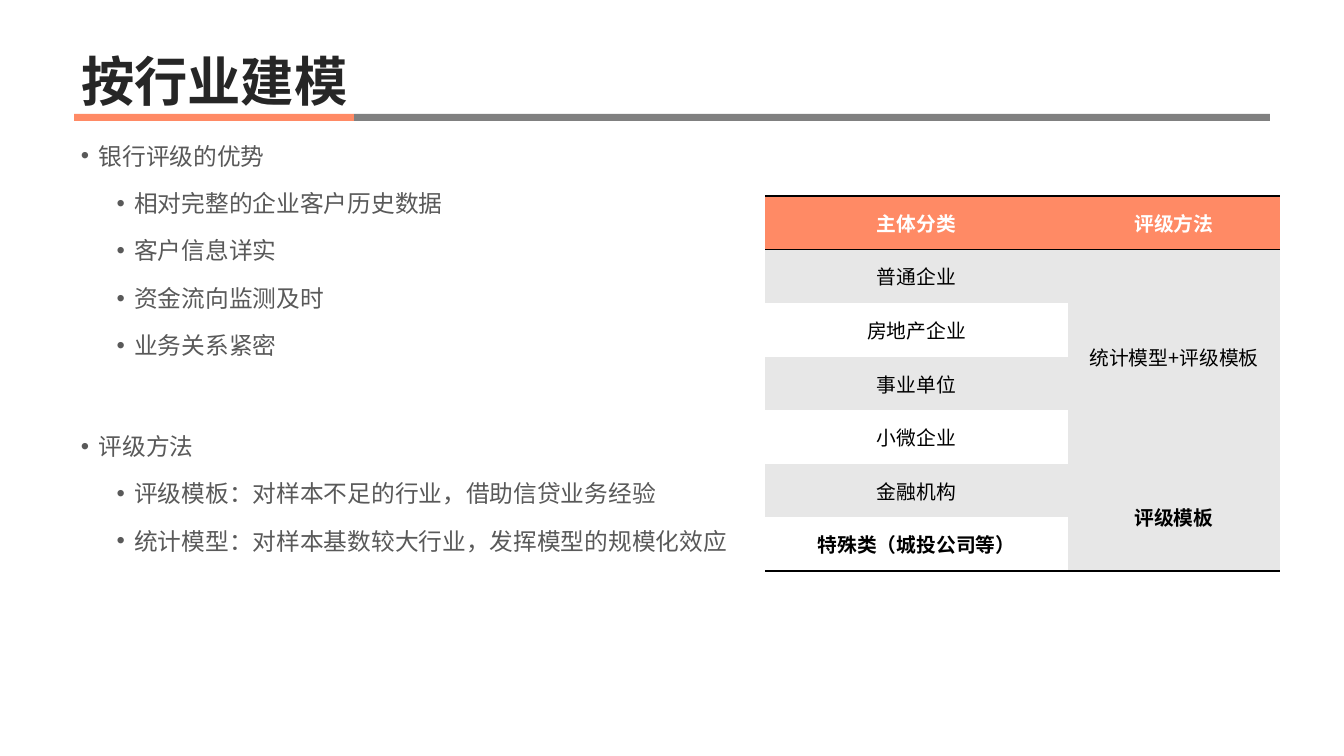
from lxml.etree import SubElement
from pptx import Presentation
from pptx.dml.color import RGBColor
from pptx.enum.shapes import MSO_SHAPE
from pptx.enum.text import MSO_ANCHOR, PP_ALIGN
from pptx.oxml.ns import qn
from pptx.util import Emu, Pt

PX = 12861
FONT = "Noto Sans CJK SC"
NO_GRID_STYLE = "{2D5ABB26-0587-4C30-8999-92F81FD0307C}"

CORAL = RGBColor(0xFF, 0x8A, 0x65)
RULE_GRAY = RGBColor(0x80, 0x80, 0x80)
TITLE_INK = RGBColor(0x26, 0x26, 0x26)
BODY_INK = RGBColor(0x59, 0x59, 0x59)
BAND_GRAY = RGBColor(0xE7, 0xE7, 0xE7)
WHITE = RGBColor(0xFF, 0xFF, 0xFF)
BLACK = RGBColor(0, 0, 0)

TITLE = "按行业建模"
OUTLINE = [
    ("银行评级的优势", [
        "相对完整的企业客户历史数据",
        "客户信息详实",
        "资金流向监测及时",
        "业务关系紧密",
    ]),
    ("评级方法", [
        "评级模板：对样本不足的行业，借助信贷业务经验",
        "统计模型：对样本基数较大行业，发挥模型的规模化效应",
    ]),
]
HEADINGS = ["主体分类", "评级方法"]
# Each method with the entity types it covers
METHODS = [
    ("统计模型+评级模板", ["普通企业", "房地产企业", "事业单位", "小微企业"]),
    ("评级模板", ["金融机构", "特殊类（城投公司等）"]),
]
BOLD_ENTRIES = {*HEADINGS, "评级模板", "特殊类（城投公司等）"}


def px(*lengths):
    return [Emu(length * PX) for length in lengths]


def add_run(paragraph, text, size, color, bold=False):
    run = paragraph.add_run()
    run.text = text
    font = run.font
    font.size = Pt(size)
    font.bold = bold
    font.color.rgb = color
    font.name = FONT
    SubElement(run._r.get_or_add_rPr(), qn("a:ea"), typeface=FONT)


def add_text_frame(slide, box):
    frame = slide.shapes.add_textbox(*px(*box)).text_frame
    frame.word_wrap = True
    return frame


def add_title(slide, box):
    frame = add_text_frame(slide, box)
    frame.vertical_anchor = MSO_ANCHOR.BOTTOM
    frame.margin_bottom = 0
    heading = frame.paragraphs[0]
    heading.line_spacing = 0.9
    add_run(heading, TITLE, 54, TITLE_INK, bold=True)


def add_rule(slide, box, accent_width):
    """Gray bar whose left part is coral."""
    left, top, width, height = box
    parts = [
        (left + accent_width, width - accent_width, RULE_GRAY),
        (left, accent_width, CORAL),
    ]
    for part_left, part_width, color in parts:
        bar = slide.shapes.add_shape(
            MSO_SHAPE.RECTANGLE, *px(part_left, top, part_width, height))
        bar.shadow.inherit = False
        bar.fill.solid()
        bar.fill.fore_color.rgb = color
        bar.line.fill.background()


def set_bullet(paragraph, level):
    paragraph.level = level
    props = paragraph._p.get_or_add_pPr()
    props.set("marL", str(Pt(18 + 36 * level)))
    props.set("indent", str(-Pt(18)))
    SubElement(props, qn("a:buFont"), typeface="Arial")
    SubElement(props, qn("a:buChar"), char="•")


def add_outline(slide, box):
    frame = add_text_frame(slide, box)
    entries = [(level, text)
               for topic, points in OUTLINE
               for level, text in [(0, topic)] + [(1, point) for point in points]]
    for index, (level, text) in enumerate(entries):
        paragraph = frame.add_paragraph() if index else frame.paragraphs[0]
        set_bullet(paragraph, level)
        paragraph.line_spacing = Pt(43)
        if index:
            paragraph.space_before = Pt(5 if level else 59)
        add_run(paragraph, text, 24, BODY_INK)


def set_border(cell, side):
    line = SubElement(cell._tc.get_or_add_tcPr(), qn("a:" + side), w=str(Pt(2)))
    fill = SubElement(line, qn("a:solidFill"))
    SubElement(fill, qn("a:srgbClr"), val=str(BLACK))


def fill_cell(cell, text, background, ink=BLACK):
    cell.fill.solid()
    cell.fill.fore_color.rgb = background
    cell.vertical_anchor = MSO_ANCHOR.MIDDLE
    cell.margin_left = cell.margin_right = Pt(6.5)
    cell.margin_top = cell.margin_bottom = Pt(5)
    paragraph = cell.text_frame.paragraphs[0]
    paragraph.alignment = PP_ALIGN.CENTER
    add_run(paragraph, text, 20, ink, text in BOLD_ENTRIES)


def add_method_table(slide, box, entity_width):
    row_count = 1 + sum(len(entities) for _, entities in METHODS)
    frame = slide.shapes.add_table(row_count, 2, *px(*box))
    table = frame.table
    table.first_row = table.horz_banding = False
    table._tbl.tblPr.find(qn("a:tableStyleId")).text = NO_GRID_STYLE
    for column, width in zip(table.columns, px(entity_width, box[2] - entity_width)):
        column.width = width

    for col, heading in enumerate(HEADINGS):
        set_border(table.cell(0, col), "lnT")
        set_border(table.cell(0, col), "lnB")
        set_border(table.cell(row_count - 1, col), "lnB")
        fill_cell(table.cell(0, col), heading, CORAL, WHITE)

    row = 1
    for method, entities in METHODS:
        method_cell = table.cell(row, 1)
        last_row = row + len(entities) - 1
        method_cell.merge(table.cell(last_row, 1))
        if last_row == row_count - 1:
            set_border(method_cell, "lnB")
        fill_cell(method_cell, method, BAND_GRAY)
        for entity in entities:
            fill_cell(table.cell(row, 0), entity, BAND_GRAY if row % 2 else WHITE)
            row += 1


def main():
    deck = Presentation()
    deck.slide_width, deck.slide_height = px(1344, 756)
    slide = deck.slides.add_slide(deck.slide_layouts[6])
    add_rule(slide, (74, 114, 1196, 7), accent_width=280)
    add_title(slide, (74, 0, 1196, 113))
    add_outline(slide, (74, 124, 690, 612))
    add_method_table(slide, (765, 196, 515, 375), entity_width=303)
    deck.save("out.pptx")


if __name__ == "__main__":
    main()
